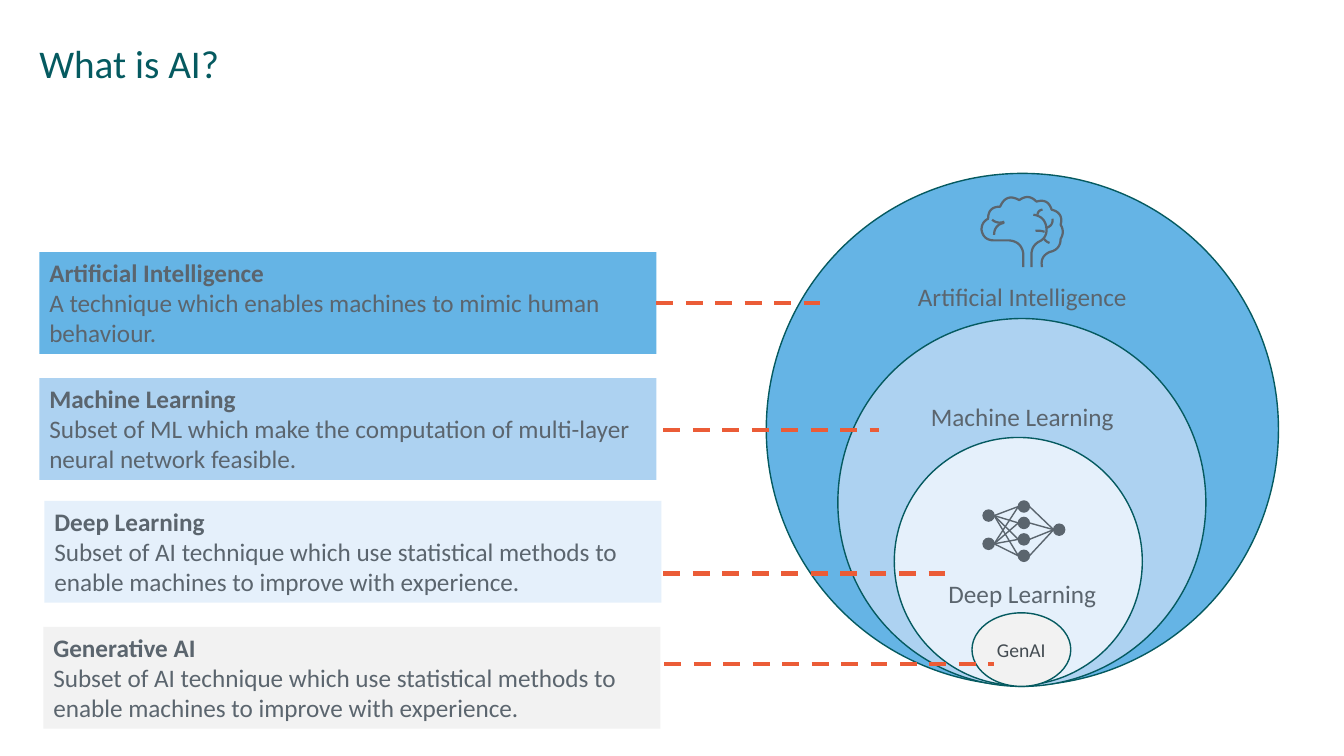
"""Build the "What is AI?" slide with nested fields and their definitions."""
from dataclasses import dataclass
from itertools import product

from lxml import etree
from pptx import Presentation
from pptx.dml.color import RGBColor
from pptx.enum.dml import MSO_LINE_DASH_STYLE as Dash
from pptx.enum.shapes import MSO_CONNECTOR as Connector, MSO_SHAPE as Preset
from pptx.enum.text import MSO_ANCHOR as Anchor, PP_ALIGN as Align
from pptx.oxml.ns import qn
from pptx.util import Inches, Pt

COLORS = {
    "teal": "055A60", "slate": "5B656E", "graphite": "444C52", "orange": "EB5C37",
    "sky": "65B4E5", "light": "ADD2F1", "pale": "E5F0FB", "grey": "F2F2F2",
}
FONT = "Calibri"
DEFINITION_SIZE = (6.12, 1.01)
NODE = 0.11
Point = tuple[float, float]
Bend = tuple[float, float, float]


@dataclass(frozen=True)
class Field:
    left: float
    top: float
    width: float
    height: float
    color: str
    label: str = ""
    label_top: float = 0


@dataclass(frozen=True)
class Definition:
    left: float
    top: float
    color: str
    term: str
    meaning: str


@dataclass(frozen=True)
class Leader:
    start: float
    end: float
    y: float


FIELDS = [
    Field(7.6, 1.72, 5.08, 5.08, "sky", "Artificial Intelligence", 2.74),
    Field(8.31, 3.16, 3.65, 3.65, "light", "Machine Learning", 3.93),
    Field(8.87, 4.34, 2.46, 2.46, "pale", "Deep Learning", 5.69),
]
GENAI = Field(9.64, 6.08, 0.98, 0.73, "grey", "GenAI")
EXPERIENCE = ("Subset of AI technique which use statistical methods to "
              "enable machines to improve with experience.")
DEFINITIONS = [
    Definition(0.39, 2.5, "sky", "Artificial Intelligence",
               "A technique which enables machines to mimic human behaviour."),
    Definition(0.39, 3.75, "light", "Machine Learning",
               "Subset of ML which make the computation of multi-layer neural network feasible."),
    Definition(0.44, 4.97, "pale", "Deep Learning", EXPERIENCE),
    Definition(0.43, 6.22, "grey", "Generative AI", EXPERIENCE),
]
LEADERS = [Leader(6.51, 8.13, 3.01), Leader(6.58, 8.72, 4.27),
           Leader(6.58, 9.41, 5.69), Leader(6.59, 9.86, 6.59)]

BRAIN_STROKES: list[list[Bend]] = [
    [(10.15, 2.65, 0), (10.15, 2.52, 0), (10.01, 2.385, -0.2), (9.85, 2.385, 0),
     (9.735, 2.28, 0.2), (9.8, 2.17, 0.15), (9.92, 2.05, 0.25), (10.11, 1.985, 0.28),
     (10.28, 2.0, 0.22), (10.43, 2.08, 0.25), (10.52, 2.23, 0.25), (10.52, 2.37, 0.15),
     (10.41, 2.5, 0.2), (10.335, 2.65, -0.2)],
    [(10.23, 2.65, 0), (10.23, 2.52, 0), (10.32, 2.39, 0.15), (10.38, 2.27, -0.15),
     (10.25, 2.13, -0.2)],
    [(10.29, 2.13, 0), (10.34, 2.08, 0.2)],
    [(10.38, 2.26, 0), (10.44, 2.17, -0.2)],
    [(10.27, 2.29, 0), (10.36, 2.3, 0.05)],
    [(10.35, 2.36, 0), (10.41, 2.41, -0.1)],
    [(9.84, 2.18, 0), (9.96, 2.2, -0.15)],
    [(9.86, 2.33, 0), (9.96, 2.21, 0.2)],
]

INPUTS: list[Point] = [(9.805, 5.115), (9.805, 5.395)]
HIDDEN: list[Point] = [(10.155, 5.025 + 0.163 * row) for row in range(4)]
OUTPUTS: list[Point] = [(10.505, 5.255)]


def rgb(name: str) -> RGBColor:
    """Return the named colour."""
    return RGBColor.from_string(COLORS[name])


def add_run(paragraph, text: str, size: float, color: str, bold: bool = False) -> None:
    """Append one styled run."""
    run = paragraph.add_run()
    run.text = text
    run.font.name, run.font.size, run.font.bold = FONT, Pt(size), bold
    run.font.color.rgb = rgb(color)


def add_block(shapes, preset, box: tuple, fill: str, outline: str = ""):
    """Add a flat preset shape."""
    block = shapes.add_shape(preset, *map(Inches, box))
    block.shadow.inherit = False
    block.fill.solid()
    block.fill.fore_color.rgb = rgb(fill)
    if outline:
        block.line.color.rgb = rgb(outline)
        block.line.width = Pt(1)
    else:
        block.line.fill.background()
    return block


def add_line(shapes, start: Point, end: Point, color: str, width: float):
    """Add a straight line without a shadow."""
    line = shapes.add_connector(Connector.STRAIGHT, *map(Inches, start + end))
    line.line.color.rgb = rgb(color)
    line.line.width = Pt(width)
    etree.SubElement(line._element.spPr, qn("a:effectLst"))
    return line


def add_text(shapes, box: tuple, text: str, size: float, color: str, align):
    """Add a wrapping one-line text box and return its frame."""
    frame = shapes.add_textbox(*map(Inches, box)).text_frame
    frame.word_wrap = True
    frame.paragraphs[0].alignment = align
    add_run(frame.paragraphs[0], text, size, color)
    return frame


def bend_points(start: Bend, end: Bend) -> list[Point]:
    """Sample the curve between two points, bulging by the bend of the second."""
    (x, y, _), (end_x, end_y, bend) = start, end
    dx, dy = end_x - x, end_y - y
    steps = 10 if bend else 1
    samples = [(step / steps, 4 * bend * step / steps * (1 - step / steps))
               for step in range(1, steps + 1)]
    return [(x + dx * t + dy * bulge, y + dy * t - dx * bulge) for t, bulge in samples]


def add_brain(shapes) -> None:
    """Draw the brain icon as open strokes."""
    for stroke in BRAIN_STROKES:
        points = [point for pair in zip(stroke, stroke[1:]) for point in bend_points(*pair)]
        builder = shapes.build_freeform(Inches(stroke[0][0]), Inches(stroke[0][1]))
        builder.add_line_segments([(Inches(x), Inches(y)) for x, y in points], close=False)
        curve = builder.convert_to_shape()
        curve.shadow.inherit = False
        curve.fill.background()
        curve.line.color.rgb = rgb("slate")
        curve.line.width = Pt(1.6)


def add_network(shapes) -> None:
    """Draw the neural network icon."""
    for x, y in INPUTS + HIDDEN + OUTPUTS:
        add_block(shapes, Preset.OVAL, (x - NODE / 2, y - NODE / 2, NODE, NODE), "slate", "slate")
    for (x, y), (end_x, end_y) in [*product(INPUTS, HIDDEN), *product(HIDDEN, OUTPUTS)]:
        add_line(shapes, (x + NODE / 2, y), (end_x - NODE / 2, end_y), "slate", 1)


def add_field(shapes, field: Field):
    """Draw the ellipse of one field."""
    box = (field.left, field.top, field.width, field.height)
    return add_block(shapes, Preset.OVAL, box, field.color, "teal")


def add_definition(shapes, item: Definition) -> None:
    """Draw one definition box."""
    box = (item.left, item.top, *DEFINITION_SIZE)
    frame = add_block(shapes, Preset.RECTANGLE, box, item.color).text_frame
    frame.word_wrap = True
    frame.vertical_anchor = Anchor.TOP
    term, meaning = frame.paragraphs[0], frame.add_paragraph()
    term.alignment = meaning.alignment = Align.LEFT
    add_run(term, item.term, 18, "slate", bold=True)
    add_run(meaning, item.meaning, 18, "slate")


def main() -> None:
    """Build and save the slide."""
    deck = Presentation()
    deck.slide_width, deck.slide_height = Inches(13.33), Inches(7.5)
    shapes = deck.slides.add_slide(deck.slide_layouts[6]).shapes

    title = add_text(shapes, (0.39, 0.39, 12.55, 0.95), "What is AI?", 28, "teal", Align.LEFT)
    title.margin_left = title.margin_right = 0
    title.paragraphs[0].line_spacing = 0.9

    for field in FIELDS:
        add_field(shapes, field)
    for field in FIELDS:
        add_text(shapes, (8.91, field.label_top, 2.46, 0.41), field.label, 18, "slate", Align.CENTER)
    add_brain(shapes)
    add_network(shapes)

    genai = add_field(shapes, GENAI).text_frame
    genai.margin_left = genai.margin_right = 0
    genai.vertical_anchor = Anchor.MIDDLE
    genai.paragraphs[0].alignment = Align.CENTER
    add_run(genai.paragraphs[0], GENAI.label, 14, "graphite")

    for item in DEFINITIONS:
        add_definition(shapes, item)
    for leader in LEADERS:
        line = add_line(shapes, (leader.start, leader.y), (leader.end, leader.y), "orange", 3)
        line.line.dash_style = Dash.DASH
    deck.save("out.pptx")


if __name__ == "__main__":
    main()
